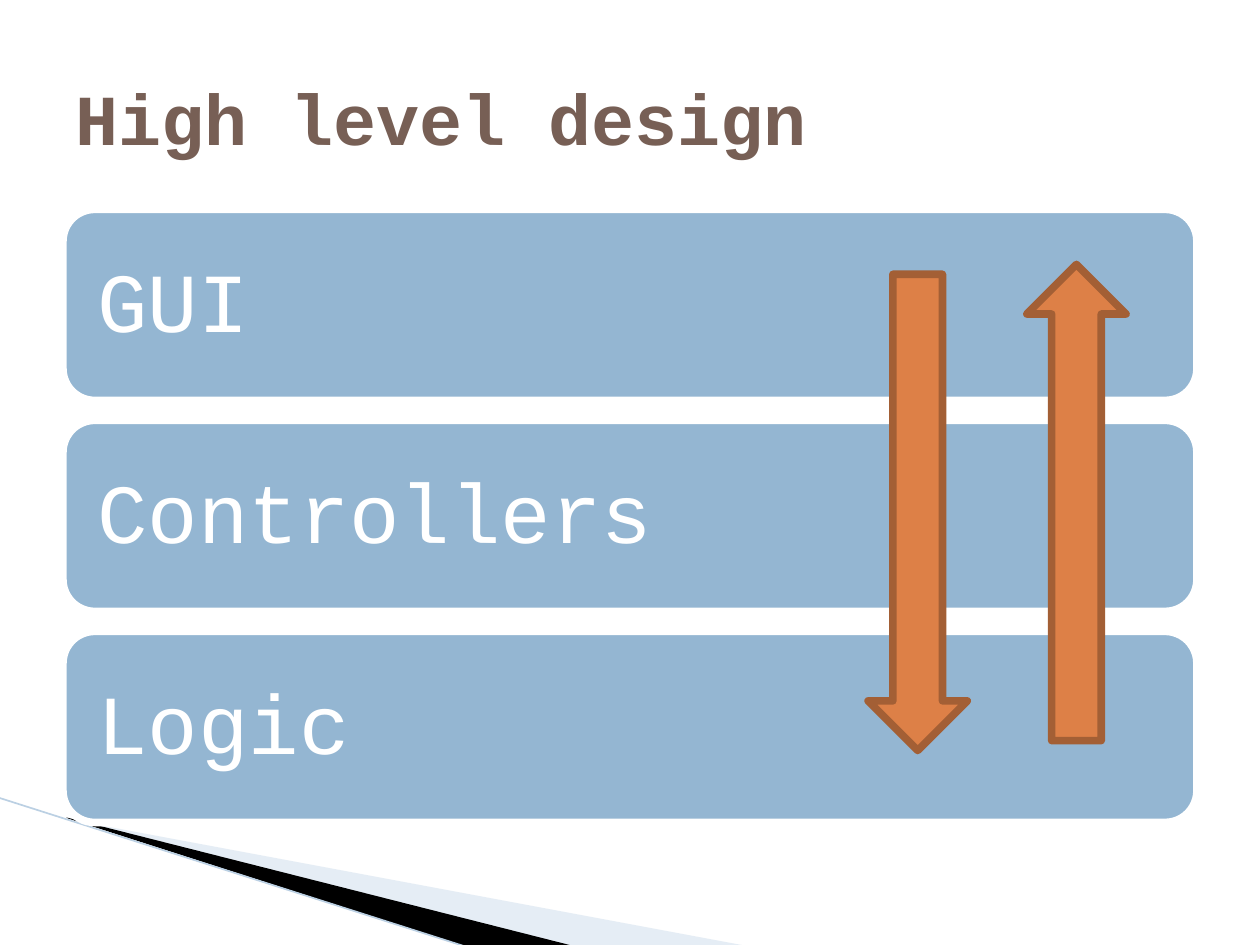
from dataclasses import dataclass
from lxml import etree
from pptx import Presentation
from pptx.dml.color import RGBColor as RGB
from pptx.enum.shapes import MSO_CONNECTOR as CONN, MSO_SHAPE as SHAPE
from pptx.enum.text import MSO_ANCHOR as ANCHOR, PP_ALIGN as ALIGN
from pptx.oxml.ns import qn
from pptx.util import Cm, Pt


@dataclass(frozen=True)
class Theme:
    font: str = "Courier New"
    title: RGB = RGB.from_string("775F55")
    layer: RGB = RGB.from_string("94B6D2")
    white: RGB = RGB.from_string("FFFFFF")
    arrow: RGB = RGB.from_string("DD8047")
    arrow_edge: RGB = RGB.from_string("A35F35")
    wedge: RGB = RGB.from_string("C0D3E6")
    black: RGB = RGB.from_string("000000")
    edge: RGB = RGB.from_string("BBD0E3")
    title_size: float = 41
    layer_size: float = 48
    outline: float = 4.33
    hairline: float = 0.95


T = Theme()


def paint(sp, fill, line=None):
    sp.shadow.inherit = False
    sp.fill.solid()
    sp.fill.fore_color.rgb = fill
    if line is None:
        sp.line.fill.background()
    else:
        sp.line.color.rgb = line
        sp.line.width = Pt(T.outline)


def write(sp, text, size, color, bold=False):
    tf = sp.text_frame
    tf.word_wrap = True
    tf.vertical_anchor = ANCHOR.MIDDLE
    tf.text = text
    p = tf.paragraphs[0]
    p.alignment = ALIGN.LEFT
    f = p.runs[0].font
    f.name, f.size, f.bold = T.font, Pt(size), bold
    f.color.rgb = color
    return p


def add_wedge(s, x, y, points, fill, alpha=None):
    start, *rest = [(Cm(x + dx), Cm(y + dy)) for dx, dy in points]
    fb = s.shapes.build_freeform(*start)
    fb.add_line_segments(rest, close=True)
    sp = fb.convert_to_shape()
    paint(sp, fill)
    if alpha is not None:
        clr = sp.fill._xPr.find(".//" + qn("a:srgbClr"))
        etree.SubElement(clr, qn("a:alpha")).set("val", str(alpha * 1000))


def add_corner(s, x, y):
    add_wedge(s, x, y, [(1.42, 0.44), (15.14, 3), (11.6, 3), (1.42, 0.42)], T.wedge, 40)
    add_wedge(s, x, y, [(1.37, 0.4), (11.63, 3), (9.47, 3.02), (1.4, 0.42)], T.black)
    cx = s.shapes.add_connector(CONN.STRAIGHT, Cm(x), Cm(y), Cm(x + 9.47), Cm(y + 3.02))
    cx.line.color.rgb = T.edge
    cx.line.width = Pt(T.hairline)
    etree.SubElement(cx._element.spPr, qn("a:effectLst"))


def add_title(s, x, y, w, h, text):
    sp = s.shapes.add_textbox(Cm(x), Cm(y), Cm(w), Cm(h))
    write(sp, text, T.title_size, T.title, True)


def add_layers(s, x, y, w, h, names, gap=0.4):
    row = (h - gap * (len(names) - 1)) / len(names)
    for i, name in enumerate(names):
        top = y + i * (row + gap)
        sp = s.shapes.add_shape(SHAPE.ROUNDED_RECTANGLE, Cm(x), Cm(top), Cm(w), Cm(row))
        paint(sp, T.layer, T.white)
        tf = sp.text_frame
        tf.margin_left = tf.margin_right = tf.margin_top = tf.margin_bottom = Cm(0.51)
        write(sp, name, T.layer_size, T.white).line_spacing = 0.9


def add_arrows(s, x, y, w, h):
    width, drop = 2, 0.2
    for left, top, turn in ((x, y + drop, 0), (x + w - width, y, 180)):
        sp = s.shapes.add_shape(SHAPE.DOWN_ARROW, Cm(left), Cm(top), Cm(width), Cm(h - drop))
        sp.rotation = turn
        paint(sp, T.arrow, T.arrow_edge)


def design_slide(prs):
    s = prs.slides.add_slide(prs.slide_layouts[6])
    add_corner(s, -0.03, 16.08)
    add_layers(s, 1.27, 4.22, 22.86, 12.36, ["GUI", "Controllers", "Logic"])
    add_title(s, 1.27, 0.76, 22.86, 3.18, "High level design")
    add_arrows(s, 17.5, 5.33, 5.2, 9.8)


prs = Presentation()
prs.slide_width, prs.slide_height = Cm(25.4), Cm(19.05)
design_slide(prs)
prs.save("out.pptx")
